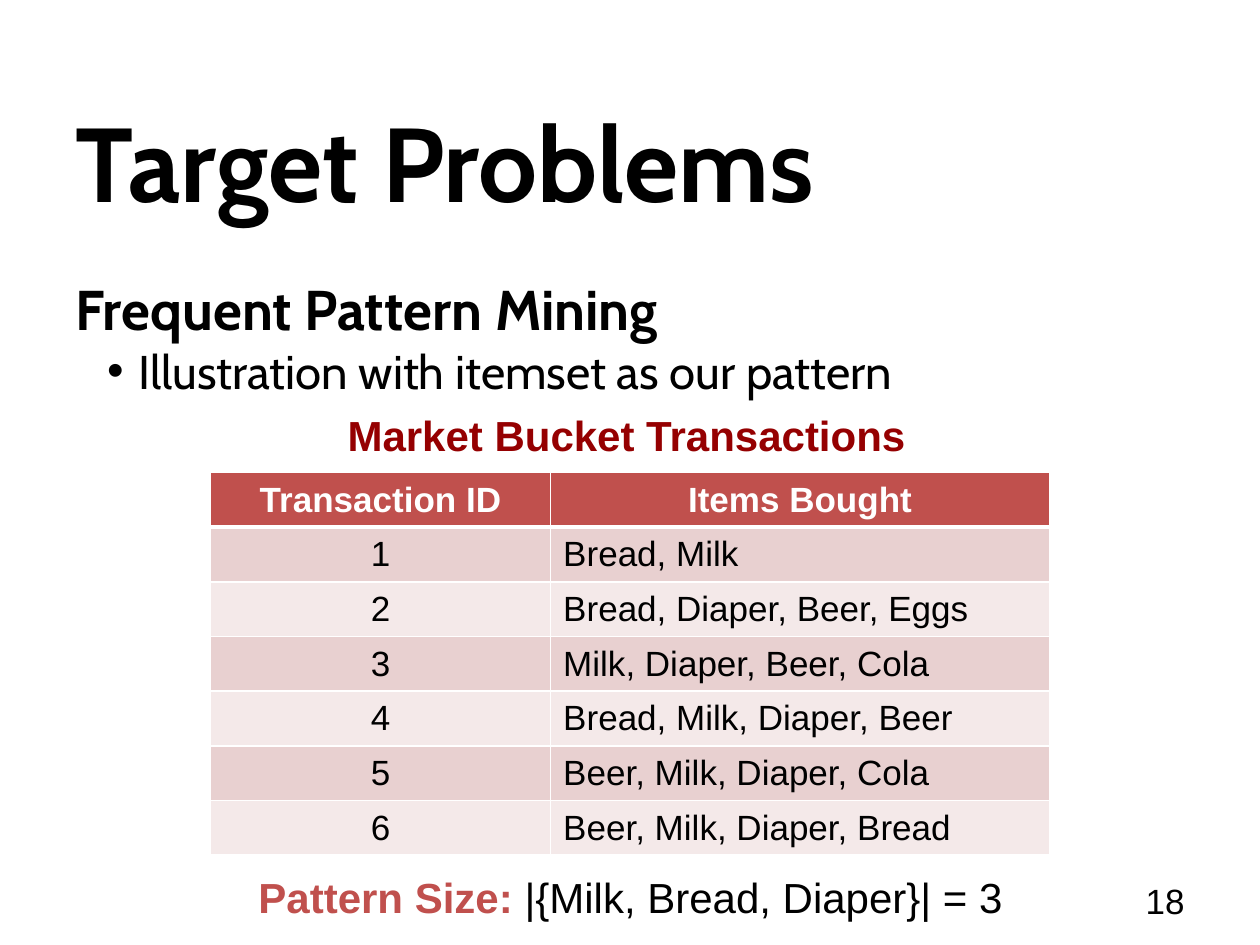
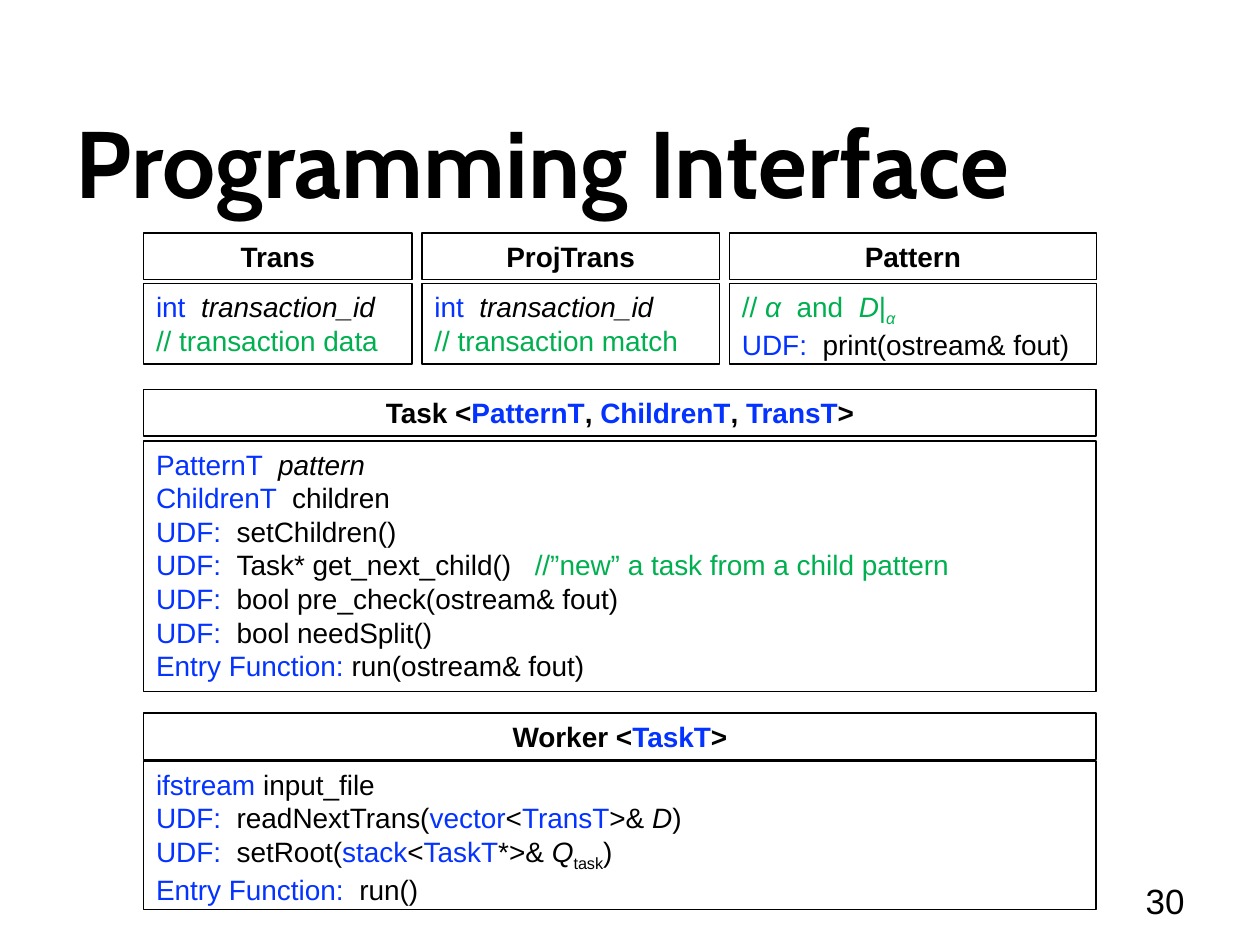
from dataclasses import dataclass

from lxml import etree
from pptx import Presentation
from pptx import util as u
from pptx.dml.color import RGBColor
from pptx.enum import shapes, text
from pptx.oxml import ns

Inches, Pt = u.Inches, u.Pt
LEFT, MID, RIGHT = text.PP_ALIGN.LEFT, text.PP_ALIGN.CENTER, text.PP_ALIGN.RIGHT


@dataclass(frozen=True)
class Theme:
    black: str = "000000"
    white: str = "FFFFFF"
    red: str = "C0504D"
    wine: str = "950001"
    blue: str = "0432FF"
    green: str = "00B050"
    bands: tuple = ("E8D0D0", "F4E9E9")
    head_font: str = "Cabin"
    text_font: str = "Arial"
    topic: int = 32
    point: int = 27
    label: int = 24
    table: int = 20
    code: int = 16


THEME = Theme()


def put(para, words, size=THEME.code, color=THEME.black, font=THEME.text_font,
        bold=False, ital=False, sub=False):
    run = para.add_run()
    run.text = words
    face = run.font
    face.size, face.name = Pt(size), font
    face.bold, face.italic = bold, ital
    face.color.rgb = RGBColor.from_string(color)
    if sub:
        run._r.get_or_add_rPr().set("baseline", "-25000")


def fill(frame, lines, align=LEFT, **base):
    """Write lines, each a list of (words, format) runs over a base format."""
    for i, line in enumerate(lines):
        para = frame.add_paragraph() if i else frame.paragraphs[0]
        para.alignment = align
        for words, form in line:
            put(para, words, **{**base, **form})


def child(parent, tag, **attrs):
    return etree.SubElement(parent, ns.qn(tag), **attrs)


def edge(cell, side, width, color):
    """Draw one border of a cell; call before the cell is filled."""
    line = child(cell._tc.get_or_add_tcPr(), "a:ln" + side, w=str(Pt(width)))
    child(child(line, "a:solidFill"), "a:srgbClr", val=color)


def indent(para, left=0, hang=0, mark=None):
    props = para._p.get_or_add_pPr()
    props.set("marL", str(Inches(left)))
    props.set("indent", str(Inches(-hang)))
    if mark:
        child(props, "a:buFont", typeface=THEME.text_font)
        child(props, "a:buChar", char=mark)
    else:
        child(props, "a:buNone")


def plain(words, **form):
    return words, form


def blue(words):
    return words, {"color": THEME.blue}


def green(words, **form):
    return words, {"color": THEME.green, **form}


def slant(words):
    return words, {"ital": True}


def udf(*rest):
    return [blue("UDF:  "), *rest]


class Deck:
    def __init__(self, theme):
        self.theme = theme
        self.show = Presentation()
        self.show.slide_width, self.show.slide_height = Inches(10), Inches(7.5)
        self.slide = None

    def page(self, layout, title, size, number):
        self.slide = self.show.slides.add_slide(self.show.slide_layouts[layout])
        frame = self.place(self.slide.shapes.title, 0.5, 0.65, 9, 1.25)
        frame.vertical_anchor = text.MSO_ANCHOR.MIDDLE
        fill(frame, [[plain(title)]], size=size, font=self.theme.head_font, bold=True)
        self.note([plain(number)], 7.17, 6.95, 2.33, 0.4, RIGHT,
                  anchor=text.MSO_ANCHOR.MIDDLE, size=self.theme.table)

    def place(self, holder, left, top, wide, high):
        holder.left, holder.top = Inches(left), Inches(top)
        holder.width, holder.height = Inches(wide), Inches(high)
        frame = holder.text_frame
        frame.word_wrap, frame.auto_size = True, text.MSO_AUTO_SIZE.NONE
        return frame

    def list(self, topic, points):
        look = self.theme
        frame = self.place(self.slide.placeholders[1], 0.5, 2.13, 9.31, 4.62)
        fill(frame, [[plain(topic, size=look.topic, bold=True)],
                     *[[plain(point, size=look.point)] for point in points]],
             font=look.head_font)
        for i, para in enumerate(frame.paragraphs):
            para.space_before = Pt(0)
            if i:
                para.level = 1
                indent(para, 0.5, 0.25, "•")
            else:
                indent(para)

    def note(self, line, left, top, wide, high, align=LEFT, wrap=True,
             anchor=text.MSO_ANCHOR.TOP, **base):
        box = self.slide.shapes.add_textbox(*map(Inches, (left, top, wide, high)))
        frame = box.text_frame
        frame.word_wrap, frame.vertical_anchor = wrap, anchor
        fill(frame, [line], align, **base)

    def rect(self, lines, left, top, wide, high, align=LEFT, **base):
        box = self.slide.shapes.add_shape(
            shapes.MSO_SHAPE.RECTANGLE, *map(Inches, (left, top, wide, high)))
        box.shadow.inherit = False
        box.fill.background()
        box.line.width = Pt(0.75)
        box.line.color.rgb = RGBColor.from_string(self.theme.black)
        frame = box.text_frame
        frame.word_wrap, frame.vertical_anchor = True, text.MSO_ANCHOR.TOP
        fill(frame, lines, align, **base)

    def card(self, name, lines, left, top, wide, high, gap=0.03):
        """Draw a class as a name bar with its members in a box below."""
        bar = 0.37
        self.rect([name], left, top, wide, bar, MID, bold=True)
        self.rect(lines, left, top + bar + gap, wide, high)

    def table(self, rows, left, top, widths, high):
        look = self.theme
        grid = self.slide.shapes.add_table(
            len(rows), len(widths), Inches(left), Inches(top),
            Inches(sum(widths)), Inches(high * len(rows))).table
        for col, wide in zip(grid.columns, widths):
            col.width = Inches(wide)
        for r, row in enumerate(rows):
            head = r == 0
            shade = look.red if head else look.bands[(r - 1) % 2]
            ink = look.white if head else look.black
            for c, words in enumerate(row):
                cell = grid.cell(r, c)
                rims = {"L": 1, "R": 1, "T": 3 if r == 1 else 1, "B": 3 if head else 1}
                for side, width in rims.items():
                    edge(cell, side, width, look.white)
                cell.fill.solid()
                cell.fill.fore_color.rgb = RGBColor.from_string(shade)
                cell.vertical_anchor = text.MSO_ANCHOR.MIDDLE
                fill(cell.text_frame, [[plain(words)]], MID if head or c == 0 else LEFT,
                     size=look.table, color=ink, bold=head)


def mining(deck):
    look = deck.theme
    deck.page(1, "Target Problems", 60, "18")
    deck.list("Frequent Pattern Mining", ["Illustration with itemset as our pattern"])
    goods = ["Bread, Milk", "Bread, Diaper, Beer, Eggs", "Milk, Diaper, Beer, Cola",
             "Bread, Milk, Diaper, Beer", "Beer, Milk, Diaper, Cola",
             "Beer, Milk, Diaper, Bread"]
    rows = [("Transaction ID", "Items Bought")]
    rows += [(str(i), items) for i, items in enumerate(goods, 1)]
    deck.table(rows, 1.67, 3.75, (2.7, 3.96), 0.41)
    deck.note([plain("Market Bucket Transactions")], 2.66, 3.2, 4.68, 0.5,
              wrap=False, size=look.label, color=look.wine, bold=True)
    deck.note([plain("Pattern Size: ", color=look.red, bold=True),
               plain("|{Milk, Bread, Diaper}| = 3")],
              1.67, 6.87, 6.67, 0.5, MID, size=look.label)


def coding(deck):
    deck.page(5, "Programming Interface", 54, "30")
    left, full, gap = 1.14, 7.56, 0.08
    key = [blue("int  "), slant("transaction_id")]
    cards = [
        ("Trans", 2.13, [key, [green("// transaction data")]]),
        ("ProjTrans", 2.36, [key, [green("// transaction match")]]),
        ("Pattern", 2.91, [
            [green("// "), green("α  ", ital=True), green("and  "),
             green("D", ital=True), green("|"), green("α", ital=True, sub=True)],
            udf(plain("print(ostream& fout)"))]),
    ]
    x = left
    for name, wide, lines in cards:
        deck.card([plain(name)], lines, x, 1.85, wide, 0.64)
        x += wide + gap

    deck.card(
        [plain("Task <"), blue("PatternT"), plain(", "), blue("ChildrenT"),
         plain(", "), blue("TransT"), plain(">")],
        [[blue("PatternT  "), slant("pattern")],
         [blue("ChildrenT  "), plain("children")],
         udf(plain("setChildren()")),
         udf(plain("Task* get_next_child()   "),
             green("//”new” a task from a child pattern")),
         udf(plain("bool pre_check(ostream& fout)")),
         udf(plain("bool needSplit()")),
         [blue("Entry Function: "), plain("run(ostream& fout)")]],
        left, 3.09, full, 1.99, gap=0.04)
    deck.card(
        [plain("Worker <"), blue("TaskT"), plain(">")],
        [[blue("ifstream "), plain("input_file")],
         udf(plain("readNextTrans("), blue("vector"), plain("<"), blue("TransT"),
             plain(">& "), slant("D"), plain(")")),
         udf(plain("setRoot("), blue("stack"), plain("<"), blue("TaskT"),
             plain("*>& "), slant("Q"), plain("task", sub=True), plain(")")),
         [blue("Entry Function:  "), plain("run()")]],
        left, 5.66, full, 1.18, gap=0.01)


def main():
    deck = Deck(THEME)
    mining(deck)
    coding(deck)
    deck.show.save("out.pptx")


if __name__ == "__main__":
    main()
